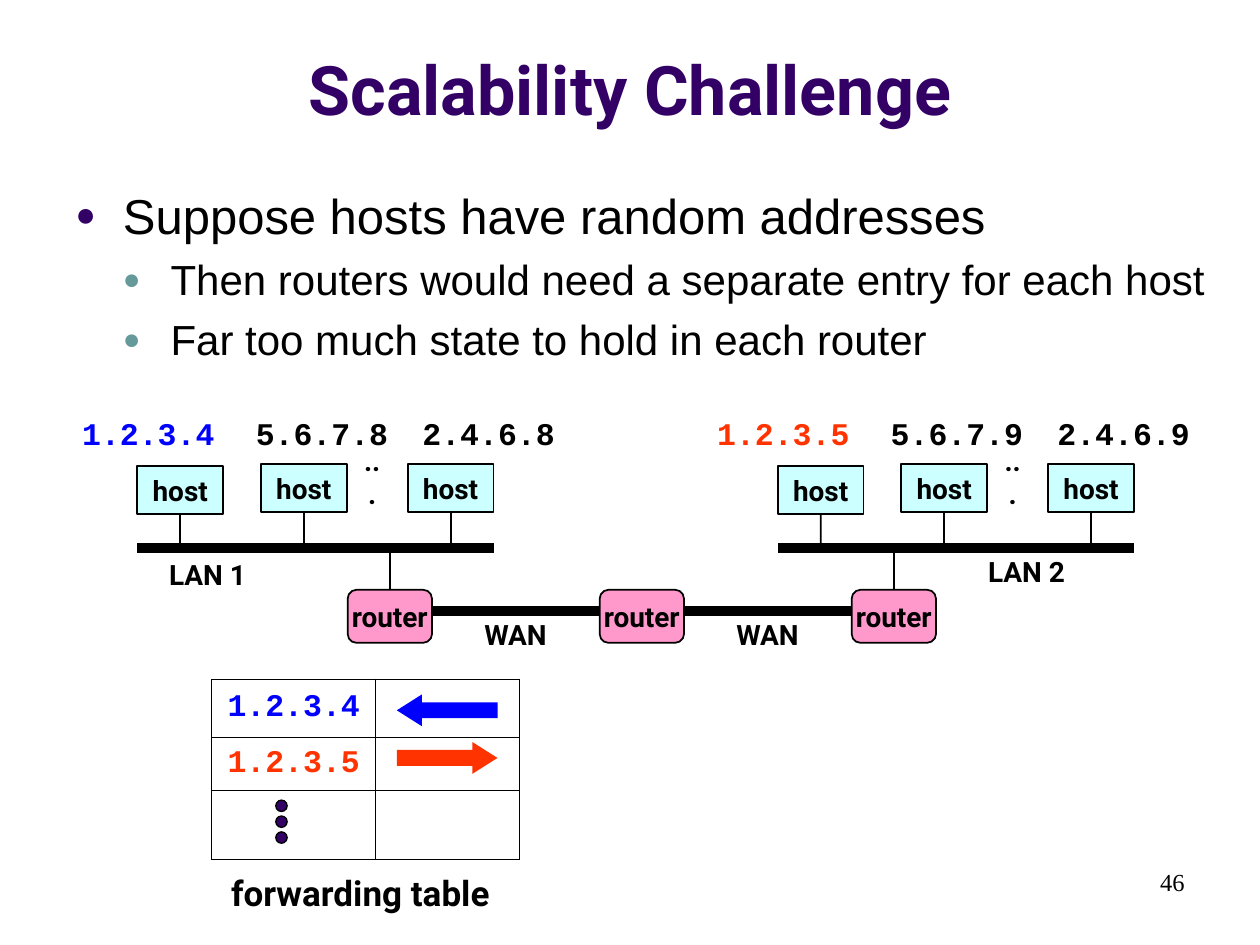
from dataclasses import dataclass

from lxml.etree import SubElement
from pptx import Presentation
from pptx.dml.color import RGBColor
from pptx.enum.shapes import MSO_CONNECTOR, MSO_SHAPE as Preset
from pptx.enum.text import MSO_ANCHOR as Anchor, PP_ALIGN as Align
from pptx.oxml.ns import qn
from pptx.util import Cm, Pt

BLACK = RGBColor(0x00, 0x00, 0x00)
PURPLE = RGBColor(0x33, 0x00, 0x66)
TEAL = RGBColor(0x66, 0x99, 0x99)
CYAN = RGBColor(0xCC, 0xFF, 0xFF)
PINK = RGBColor(0xFF, 0x99, 0xCC)
BLUE = RGBColor(0x00, 0x00, 0xFF)
RED = RGBColor(0xFF, 0x33, 0x00)

LABEL_FONT, ADDRESS_FONT, BODY_FONT = "Roboto", "Courier New", "Arial"
BUS_Y, BUS_WIDTH = 11.05, 7.19
HOST_OFFSETS = ((0, 9.4), (2.49, 9.35), (5.45, 9.35))
ADDRESS_OFFSETS = (0, 3.5, 6.86)
ROUTER_LEFT, ROUTER_TOP, ROUTER_WIDTH, ROUTER_STEP = 7.01, 11.89, 1.7, 5.08


@dataclass
class Lan:
    name: str
    left: float
    label_left: float
    label_top: float
    address_left: float
    addresses: tuple[str, ...]
    accent: RGBColor


@dataclass
class Bullet:
    text: str
    level: int
    size: float
    space: float
    color: RGBColor


@dataclass
class Route:
    address: str
    color: RGBColor
    arrow: Preset
    arrow_top: float


LANS = (
    Lan("LAN 1", 2.77, 3.12, 11.1, 1.4, ("1.2.3.4", "5.6.7.8", "2.4.6.8"), BLUE),
    Lan("LAN 2", 15.68, 19.63, 11.05, 14.2, ("1.2.3.5", "5.6.7.9", "2.4.6.9"), RED),
)
BULLETS = (
    Bullet("Suppose hosts have random addresses", 0, 28, 6.4, PURPLE),
    Bullet("Then routers would need a separate entry for each host", 1, 24, 5.5, TEAL),
    Bullet("Far too much state to hold in each router", 1, 24, 5.5, TEAL),
)
ROUTES = (
    Route("1.2.3.4", BLUE, Preset.LEFT_ARROW, 14),
    Route("1.2.3.5", RED, Preset.RIGHT_ARROW, 14.96),
)


def write(frame, text: str, size: float, font: str = LABEL_FONT, color: RGBColor = BLACK,
          bold: bool = True, align: Align = Align.CENTER) -> None:
    frame.text = text
    paragraph = frame.paragraphs[0]
    paragraph.alignment = align
    style = paragraph.runs[0].font
    style.size, style.name, style.bold = Pt(size), font, bold
    style.color.rgb = color


def add_label(slide, text: str, left: float, top: float, width: float, height: float,
              size: float = 16, wrap: bool = False, anchor: Anchor = Anchor.MIDDLE, **style):
    frame = slide.shapes.add_textbox(Cm(left), Cm(top), Cm(width), Cm(height)).text_frame
    frame.word_wrap = wrap
    frame.vertical_anchor = anchor
    write(frame, text, size, **style)


def add_block(slide, preset: Preset, left: float, top: float, width: float, height: float,
              fill: RGBColor, line: float = 0, text: str = ""):
    block = slide.shapes.add_shape(preset, Cm(left), Cm(top), Cm(width), Cm(height))
    block.shadow.inherit = False
    block.fill.solid()
    block.fill.fore_color.rgb = fill
    if line:
        block.line.color.rgb = BLACK
        block.line.width = Pt(line)
    else:
        block.line.fill.background()
    if text:
        block.text_frame.word_wrap = False
        block.text_frame.vertical_anchor = Anchor.MIDDLE
        write(block.text_frame, text, 16)
    return block


def add_line(slide, x1: float, y1: float, x2: float, y2: float, width: float):
    line = slide.shapes.add_connector(MSO_CONNECTOR.STRAIGHT, Cm(x1), Cm(y1), Cm(x2), Cm(y2))
    line.line.color.rgb = BLACK
    line.line.width = Pt(width)
    SubElement(line._element.spPr, qn("a:effectLst"))
    return line


def add_bullets(slide) -> None:
    frame = slide.shapes.add_textbox(Cm(1.27), Cm(3.61), Cm(23.7), Cm(13.44)).text_frame
    frame.word_wrap = True
    frame.text = "\n".join(bullet.text for bullet in BULLETS)
    for paragraph, bullet in zip(frame.paragraphs, BULLETS):
        paragraph.level = bullet.level
        paragraph.space_before = Pt(bullet.space)
        font = paragraph.runs[0].font
        font.size, font.name = Pt(bullet.size), BODY_FONT
        font.color.rgb = BLACK
        props = paragraph._p.get_or_add_pPr()
        props.set("marL", str(Cm(0.96 * (bullet.level + 1))))
        props.set("indent", str(-Cm(0.96)))
        color = SubElement(props, qn("a:buClr"))
        SubElement(color, qn("a:srgbClr"), val=str(bullet.color))
        SubElement(props, qn("a:buSzPct"), val="70000")
        SubElement(props, qn("a:buFont"), typeface=BODY_FONT)
        SubElement(props, qn("a:buChar"), char="●")


def add_lan(slide, lan: Lan) -> None:
    add_line(slide, lan.left, BUS_Y, lan.left + BUS_WIDTH, BUS_Y, 6)
    for offset, top in HOST_OFFSETS:
        host = add_block(slide, Preset.RECTANGLE, lan.left + offset, top, 1.73, 0.97,
                         CYAN, 1, "host")
        center = lan.left + offset + 1.73 / 2
        tap = add_line(slide, center, top + 0.97, center, BUS_Y, 1)
        tap.begin_connect(host, 2)
    add_label(slide, lan.name, lan.label_left, lan.label_top, 2.13, 0.94)
    add_label(slide, "...", lan.left + 4.24, 9.14, 0.99, 0.94, wrap=True)
    colors = (lan.accent, BLACK, BLACK)
    for address, offset, color in zip(lan.addresses, ADDRESS_OFFSETS, colors):
        add_label(slide, address, lan.address_left + offset, 8.23, 3.18, 1.02, 18,
                  anchor=Anchor.TOP, font=ADDRESS_FONT, color=color)


def add_wan(slide) -> None:
    for index in range(3):
        left = ROUTER_LEFT + index * ROUTER_STEP
        router = add_block(slide, Preset.ROUNDED_RECTANGLE, left, ROUTER_TOP,
                           ROUTER_WIDTH, 1.07, PINK, 1, "router")
        if index != 1:
            center = left + ROUTER_WIDTH / 2
            uplink = add_line(slide, center, BUS_Y, center, ROUTER_TOP, 1)
            uplink.end_connect(router, 0)
        if index < 2:
            add_line(slide, left + ROUTER_WIDTH, 12.32, left + ROUTER_STEP, 12.32, 6)
            add_label(slide, "WAN", left + 2.46, 12.32, 1.85, 0.94)


def add_borders(cell) -> None:
    props = cell._tc.get_or_add_tcPr()
    for position, side in enumerate(("lnL", "lnR", "lnT", "lnB")):
        border = SubElement(props, qn(f"a:{side}"), w=str(Pt(0.75)))
        fill = SubElement(border, qn("a:solidFill"))
        SubElement(fill, qn("a:srgbClr"), val=str(BLACK))
        props.insert(position, border)


def add_forwarding_table(slide) -> None:
    table = slide.shapes.add_table(3, 2, Cm(4.27), Cm(13.69), Cm(6.2), Cm(3.64)).table
    table.first_row = table.horz_banding = False
    for column, width in zip(table.columns, (3.3, 2.9)):
        column.width = Cm(width)
    for row, height in zip(table.rows, (1.17, 1.07, 1.4)):
        row.height = Cm(height)
    for cell in table.iter_cells():
        cell.fill.background()
        cell.vertical_anchor = Anchor.MIDDLE
        add_borders(cell)
    for row, route in enumerate(ROUTES):
        write(table.cell(row, 0).text_frame, route.address, 18, ADDRESS_FONT, route.color)
        arrow = add_block(slide, route.arrow, 8, route.arrow_top, 2.03, 0.64, route.color)
        arrow.adjustments[1] = 0.79
    for index in range(3):
        add_block(slide, Preset.OVAL, 5.56, 16.13 + 0.32 * index, 0.23, 0.23, PURPLE, 0.75)
    add_label(slide, "forwarding table", 4.27, 17.45, 5.99, 1.09, 20, anchor=Anchor.TOP)


def main() -> None:
    deck = Presentation()
    deck.slide_width, deck.slide_height = Cm(25.4), Cm(19.05)
    slide = deck.slides.add_slide(deck.slide_layouts[5])

    # Title and bullets
    title = slide.shapes.title
    title.left, title.top, title.width, title.height = Cm(0), Cm(0.33), Cm(25.4), Cm(2.41)
    title.text_frame.vertical_anchor = Anchor.BOTTOM
    write(title.text_frame, "Scalability Challenge", 39, color=PURPLE)
    add_bullets(slide)

    # Network diagram
    for lan in LANS:
        add_lan(slide, lan)
    add_wan(slide)

    # Forwarding table and page number
    add_forwarding_table(slide)
    add_label(slide, "46", 18.21, 17.35, 5.92, 1.27, 14, wrap=True, anchor=Anchor.TOP,
              font="Times New Roman", bold=False, align=Align.RIGHT)
    deck.save("out.pptx")


if __name__ == "__main__":
    main()
